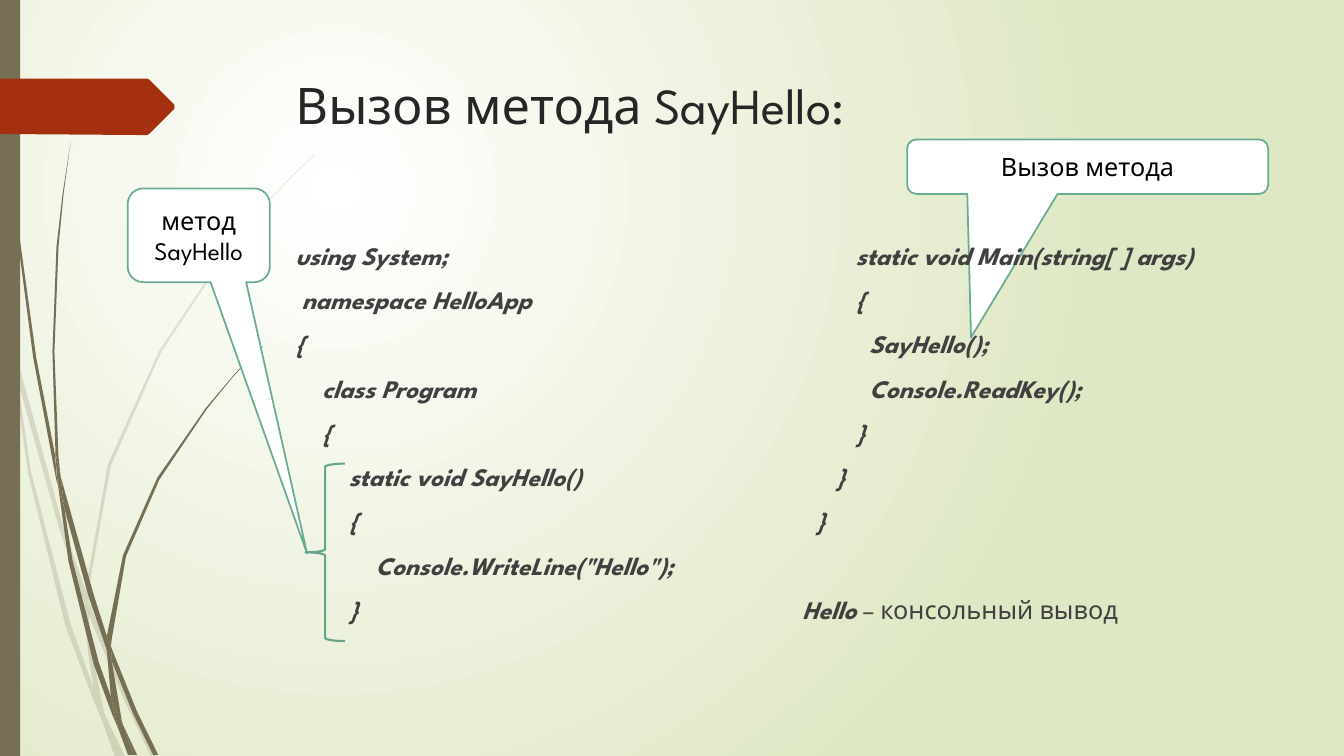
from dataclasses import dataclass
from typing import NamedTuple

from lxml import etree
from pptx import Presentation, util as u
from pptx.dml.color import RGBColor
from pptx.enum import shapes, text
from pptx.oxml.ns import qn


@dataclass(frozen=True)
class Theme:
    font: str = "League Spartan"
    stem: str = "766F54"
    arrow: str = "A53010"
    glow: str = "FFFFFF"
    meadow: str = "DFE8C4"
    callout: str = "FFFFFF"
    outline: str = "6AAC91"
    brace: str = "65A48B"
    title: str = "262626"
    code: str = "404040"
    label: str = "000000"
    title_size: float = 36
    text_size: float = 18
    gap: float = 10
    callout_line: float = 1.25
    brace_line: float = 1.5


class Box(NamedTuple):
    """Left, top, width and height in percent of the slide."""
    left: float
    top: float
    width: float
    height: float


class Line(NamedTuple):
    words: str
    indent: int = 0
    plain_tail: str = ""
    lines_above: int = 0


class Callout(NamedTuple):
    box: Box
    words: str
    tip: tuple[float, float]


Outline = list[tuple[int, int]]  # columns and rows of the fine grid

THEME = Theme()
SLIDE_WIDTH, SLIDE_HEIGHT = u.Inches(13.33), u.Inches(7.5)
CELL = SLIDE_HEIGHT / 750
INDENT = CELL * 6.65
LINE_PITCH = 31.5
PALE, SOLID = 20, 100

PALE_GRASS: list[Outline] = [
    [(11, 350), (9, 322), (0, 282), (0, 299), (10, 344)],
    [(58, 522), (84, 599), (85, 586), (62, 520), (14, 345), (17, 376)],
    [(92, 607), (88, 596), (88, 610), (123, 694), (150, 751), (155, 751), (127, 692)],
    [(119, 751), (124, 751), (105, 711)],
    [(93, 683), (70, 619), (31, 469), (17, 376), (11, 350), (28, 470), (65, 621),
     (92, 693), (101, 714), (99, 707)],
    [(84, 599), (87, 646), (93, 683), (96, 692), (105, 711), (103, 706), (91, 646),
     (88, 610), (88, 608)],
    [(88, 584), (110, 462), (160, 349), (229, 245), (268, 198), (290, 175), (312, 154),
     (312, 153), (289, 175), (268, 197), (228, 244), (158, 348), (107, 461), (85, 584),
     (85, 586), (88, 596)],
    [(101, 714), (114, 751), (119, 751)],
    [(88, 608), (88, 610), (88, 596), (85, 586), (84, 599)],
    [(96, 692), (93, 683), (99, 707), (101, 714), (119, 751), (105, 711)],
]
DARK_GRASS: list[Outline] = [
    [(7, 110), (17, 233), (33, 355), (56, 477), (57, 481), (55, 457), (55, 453),
     (36, 355), (19, 232), (8, 109), (5, 48), (4, 0), (3, 0), (4, 48)],
    [(88, 592), (106, 645), (106, 633), (106, 631), (93, 590), (60, 472), (64, 505)],
    [(113, 649), (110, 641), (111, 656), (132, 708), (152, 749), (157, 749), (136, 706)],
    [(110, 691), (98, 657), (72, 556), (64, 505), (57, 477), (68, 557), (93, 659),
     (111, 708), (117, 722), (116, 717)],
    [(60, 472), (58, 453), (54, 349), (58, 245), (63, 193), (70, 141), (62, 193),
     (56, 245), (52, 349), (55, 449)],
    [(133, 749), (136, 749), (122, 719)],
    [(57, 477), (64, 505), (60, 472), (55, 449), (55, 453)],
    [(111, 633), (125, 552), (158, 476), (205, 406), (231, 374), (245, 359), (261, 344),
     (260, 344), (245, 358), (231, 373), (204, 405), (156, 474), (122, 551), (106, 631),
     (110, 641)],
    [(117, 722), (127, 749), (131, 749)],
    [(106, 645), (110, 691), (116, 706), (122, 719), (121, 716), (111, 656), (109, 651)],
    [(106, 645), (109, 651), (111, 656), (110, 641), (106, 631), (106, 633)],
    [(116, 706), (110, 691), (116, 717), (117, 722), (130, 749), (133, 749), (122, 719)],
]
ARROW: Outline = [
    (173, 108), (148, 133), (146, 134), (136, 134), (0, 133), (0, 78), (136, 78),
    (146, 78), (148, 79), (173, 104),
]

STRIPE = Box(0, 0, 1.5, 100)
TITLE = Box(21.25, 9.18, 73.14, 18.67)
CLASS_CODE = Box(21.23, 31.1, 35.41, 55.07)
MAIN_CODE = CLASS_CODE._replace(left=58.96)
BRACE = Box(22.73, 61.33, 2.93, 23.47)
CALL = Callout(Box(67.5, 18.45, 26.86, 7.2), "Вызов метода", (-0.323, 3.137))
METHOD = Callout(Box(9.5, 24.93, 10.58, 12.4), "метод\nSayHello", (0.762, 3.395))

CLASS_LINES = [
    Line("using System;"), Line("namespace HelloApp", 1), Line("{"),
    Line("class Program", 4), Line("{", 4), Line("static void SayHello()", 8),
    Line("{", 8), Line('Console.WriteLine("Hello");', 12), Line("}", 8),
]
MAIN_LINES = [
    Line("static void Main(string[ ] args)", 8), Line("{", 8), Line("SayHello();", 10),
    Line("Console.ReadKey();", 10), Line("}", 8), Line("}", 5), Line("}", 2),
    Line("Hello ", plain_tail="– консольный вывод", lines_above=1),
]


def place(box: Box) -> tuple[int, int, int, int]:
    return (int(SLIDE_WIDTH * box.left / 100), int(SLIDE_HEIGHT * box.top / 100),
            int(SLIDE_WIDTH * box.width / 100), int(SLIDE_HEIGHT * box.height / 100))


def paint(shape, fill: str = "", line: str = "", weight: float = 0) -> None:
    shape.shadow.inherit = False
    if fill:
        shape.fill.solid()
        shape.fill.fore_color.rgb = RGBColor.from_string(fill)
    else:
        shape.fill.background()
    if line:
        shape.line.color.rgb = RGBColor.from_string(line)
        shape.line.width = u.Pt(weight)
    else:
        shape.line.fill.background()


def style(run, size: float, color: str, strong: bool = False) -> None:
    run.font.name, run.font.size = THEME.font, u.Pt(size)
    run.font.color.rgb = RGBColor.from_string(color)
    run.font.bold = run.font.italic = strong


def add_preset(slide, kind, box: Box, fill: str = "", line: str = "", weight: float = 0):
    shape = slide.shapes.add_shape(kind, *place(box))
    paint(shape, fill, line, weight)
    return shape


def add_background(slide) -> None:
    fill = slide.background.fill
    fill.gradient()
    for stop, color in zip(fill.gradient_stops, (THEME.glow, THEME.meadow)):
        stop.color.rgb = RGBColor.from_string(color)
    gradient = slide.element.find(".//" + qn("a:gradFill"))
    gradient.remove(gradient.find(qn("a:lin")))
    circle = etree.SubElement(gradient, qn("a:path"), {"path": "circle"})
    etree.SubElement(circle, qn("a:fillToRect"),
                     {"l": "50000", "t": "50000", "r": "100000", "b": "100000"})


def add_outline(parent, outline: Outline, fill: str):
    builder = parent.shapes.build_freeform(*outline[0], scale=CELL)
    builder.add_line_segments(outline[1:], close=True)
    shape = builder.convert_to_shape()
    paint(shape, fill)
    return shape


def add_grass(slide, blades: list[Outline], opacity: int) -> None:
    group = slide.shapes.add_group_shape()
    for blade in blades:
        shape = add_outline(group, blade, THEME.stem)
        if opacity < SOLID:
            color = shape.element.spPr.find(".//" + qn("a:srgbClr"))
            etree.SubElement(color, qn("a:alpha"), val=str(opacity * 1000))


def add_callout(slide, callout: Callout) -> None:
    shape = add_preset(slide, shapes.MSO_SHAPE.ROUNDED_RECTANGULAR_CALLOUT, callout.box,
                       THEME.callout, THEME.outline, THEME.callout_line)
    shape.adjustments[0], shape.adjustments[1] = callout.tip
    shape.text_frame.text = callout.words
    shape.text_frame.vertical_anchor = text.MSO_ANCHOR.MIDDLE
    for paragraph in shape.text_frame.paragraphs:
        paragraph.alignment = text.PP_ALIGN.CENTER
        style(paragraph.runs[0], THEME.text_size, THEME.label)


def add_text(slide, box: Box, words: str):
    frame = slide.shapes.add_textbox(*place(box)).text_frame
    frame.word_wrap = True
    frame.text = words
    return frame


def add_code(slide, box: Box, lines: list[Line]) -> None:
    frame = add_text(slide, box, "\n".join(line.words for line in lines))
    for paragraph, line in zip(frame.paragraphs, lines):
        paragraph.space_before = u.Pt(THEME.gap + line.lines_above * LINE_PITCH)
        paragraph._p.get_or_add_pPr().set("marL", str(int(line.indent * INDENT)))
        style(paragraph.runs[0], THEME.text_size, THEME.code, strong=True)
        if line.plain_tail:
            tail = paragraph.add_run()
            tail.text = line.plain_tail
            style(tail, THEME.text_size, THEME.code)


presentation = Presentation()
presentation.slide_width, presentation.slide_height = SLIDE_WIDTH, SLIDE_HEIGHT
slide = presentation.slides.add_slide(presentation.slide_layouts[6])
# Backdrop
add_background(slide)
add_grass(slide, PALE_GRASS, PALE)
add_grass(slide, DARK_GRASS, SOLID)
add_preset(slide, shapes.MSO_SHAPE.RECTANGLE, STRIPE, THEME.stem)
add_outline(slide, ARROW, THEME.arrow)
# Title and code, with the call's callout behind the text
add_callout(slide, CALL)
title = add_text(slide, TITLE, "Вызов метода SayHello:")
style(title.paragraphs[0].runs[0], THEME.title_size, THEME.title)
add_code(slide, CLASS_CODE, CLASS_LINES)
add_code(slide, MAIN_CODE, MAIN_LINES)
# Method marker
add_preset(slide, shapes.MSO_SHAPE.LEFT_BRACE, BRACE, "", THEME.brace, THEME.brace_line)
add_callout(slide, METHOD)
presentation.save("out.pptx")
